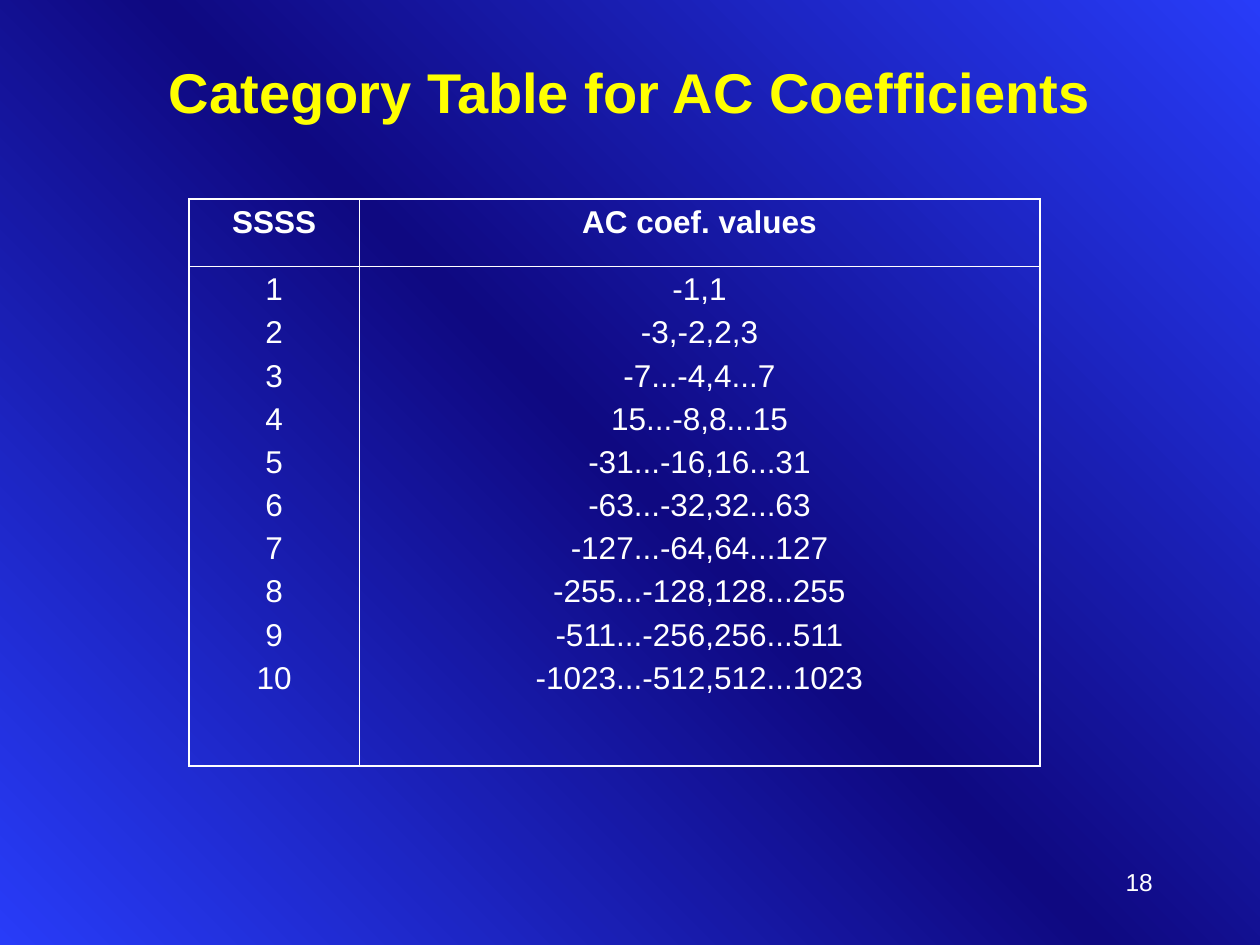
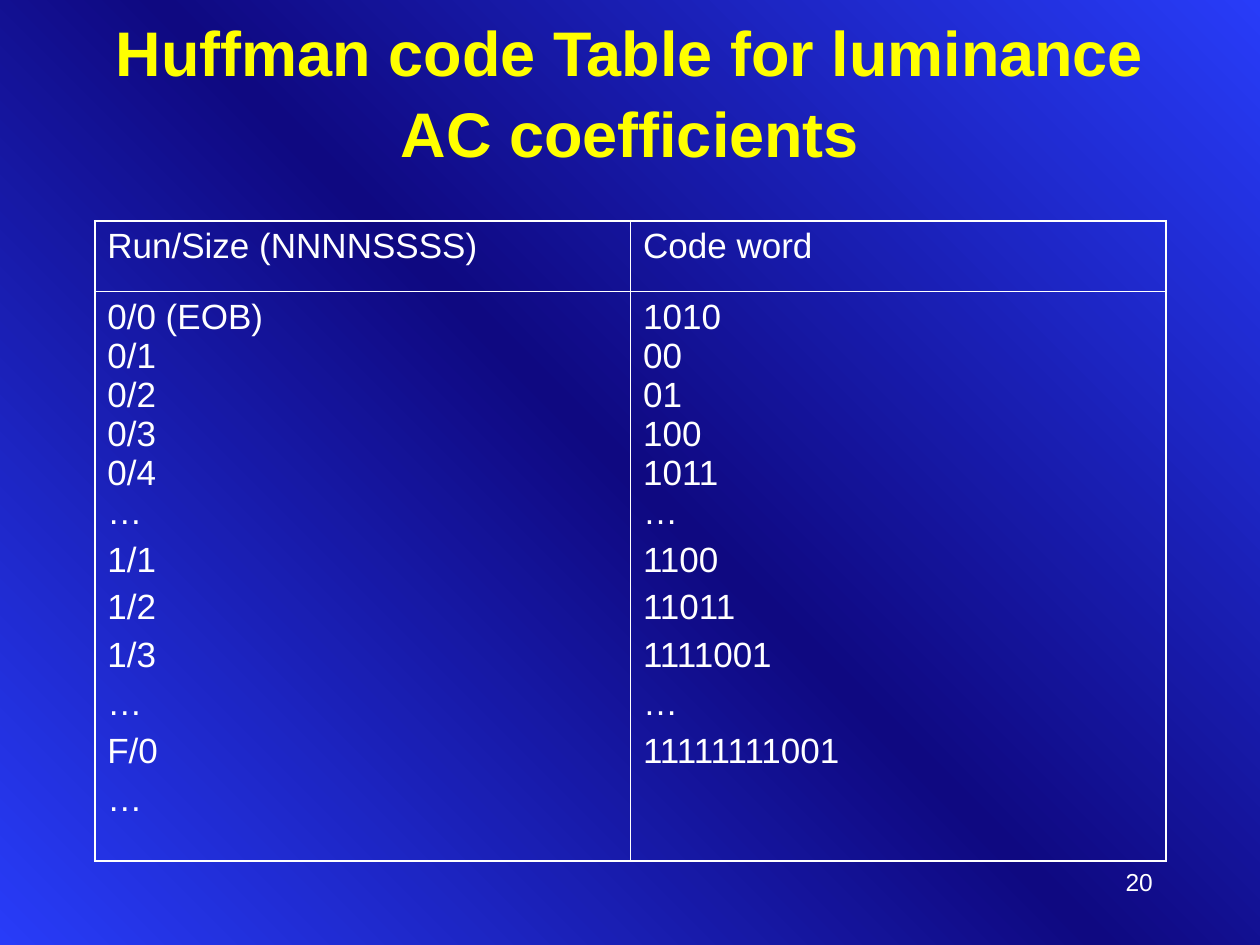
import copy
from dataclasses import dataclass

import pptx
import pptx.dml.color
import pptx.enum.text
import pptx.oxml
import pptx.oxml.ns
import pptx.util
from pptx.util import Cm

RGBColor = pptx.dml.color.RGBColor
Align = pptx.enum.text.PP_ALIGN
qn = pptx.oxml.ns.qn


@dataclass(frozen=True)
class Theme:
    font: str = "Arial"
    bright: str = "283CF8"
    dark: str = "0F0981"
    title: str = "FFFF00"
    text: str = "FFFFFF"
    number_size: int = 14
    title_line_spacing: float = 1.08
    outer_border: float = 1.08
    inner_border: float = 0.45


@dataclass(frozen=True)
class Box:
    left: float
    top: float
    width: float
    height: float


@dataclass(frozen=True)
class CodeTable:
    """A header row above one tall row; lengths are in centimetres."""
    left: float
    top: float
    columns: tuple[float, ...]
    rows: tuple[float, ...]
    cells: tuple[tuple[list[str], ...], ...]
    size: int
    space_before: float
    alignment: Align
    bold_header: bool


@dataclass(frozen=True)
class TableSlide:
    title: str
    title_size: int
    number: int
    table: CodeTable


THEME = Theme()
TITLE_BOX = Box(1.27, 0.2, 22.86, 3.18)
NUMBER_BOX = Box(18.21, 17.35, 5.28, 1.27)

CATEGORY_VALUES = [
    "-1,1", "-3,-2,2,3", "-7...-4,4...7", "15...-8,8...15",
    "-31...-16,16...31", "-63...-32,32...63", "-127...-64,64...127",
    "-255...-128,128...255", "-511...-256,256...511",
    "-1023...-512,512...1023",
]
# A vertical tab is a line break inside a paragraph.
RUN_SIZES = ["0/0 (EOB)\v0/1\v0/2\v0/3\v0/4\v…", "1/1", "1/2", "1/3", "…", "F/0", "…"]
CODE_WORDS = ["1010\v00\v01\v100\v1011\v…", "1100", "11011", "1111001", "…", "11111111001"]

SLIDES = (
    TableSlide(
        "Category Table for AC Coefficients", 32, 18,
        CodeTable(
            3.81, 4.01, (3.43, 13.72), (1.35, 10.08),
            ((["SSSS"], ["AC coef. values"]),
             ([str(category) for category in range(1, 11)], CATEGORY_VALUES)),
            18, 4.5, Align.CENTER, True,
        ),
    ),
    TableSlide(
        "Huffman code Table for luminance AC coefficients", 36, 20,
        CodeTable(
            1.91, 4.45, (10.8, 10.8), (1.42, 11.48),
            ((["Run/Size (NNNNSSSS)"], ["Code word"]), (RUN_SIZES, CODE_WORDS)),
            20, 5, Align.LEFT, False,
        ),
    ),
)


def format_paragraph(paragraph, size: int, color: str, alignment: Align, bold: bool = False) -> None:
    paragraph.alignment = alignment
    for run in paragraph.runs:
        run.font.name = THEME.font
        run.font.size = pptx.util.Pt(size)
        run.font.bold = bold
        run.font.color.rgb = RGBColor.from_string(color)


def set_background(slide) -> None:
    """Fill with a diagonal gradient: bright corners, dark middle."""
    fill = slide.background.fill
    fill.gradient()
    fill.gradient_angle = 45
    stop_list = slide.element.find(".//" + qn("a:gsLst"))
    stop_list.append(copy.deepcopy(stop_list[0]))
    colors = (THEME.bright, THEME.dark, THEME.bright)
    for index, (stop, color) in enumerate(zip(fill.gradient_stops, colors)):
        stop.position = index / 2
        stop.color.rgb = RGBColor.from_string(color)


def add_text(slide, box: Box, text: str, size: int, color: str, alignment: Align, bold: bool = False):
    shape = slide.shapes.add_textbox(Cm(box.left), Cm(box.top), Cm(box.width), Cm(box.height))
    shape.text_frame.word_wrap = True
    shape.text_frame.text = text
    format_paragraph(shape.text_frame.paragraphs[0], size, color, alignment, bold)
    return shape


def set_border(cell, side: str, width: float) -> None:
    properties = cell._tc.get_or_add_tcPr()
    line = pptx.oxml.parse_xml(
        f'<a:ln{side} {pptx.oxml.ns.nsdecls("a")} w="{int(pptx.util.Pt(width))}">'
        f'<a:solidFill><a:srgbClr val="{THEME.text}"/></a:solidFill></a:ln{side}>'
    )
    properties.append(line)


def fill_cell(cell, lines: list[str], spec_table: CodeTable, bold: bool) -> None:
    frame = cell.text_frame
    for index, line in enumerate(lines):
        paragraph = frame.add_paragraph() if index else frame.paragraphs[0]
        paragraph.text = line
        paragraph.space_before = pptx.util.Pt(spec_table.space_before)
        format_paragraph(paragraph, spec_table.size, THEME.text, spec_table.alignment, bold)


def add_code_table(slide, content: CodeTable) -> None:
    row_count, column_count = len(content.rows), len(content.columns)
    table = slide.shapes.add_table(
        row_count, column_count, Cm(content.left), Cm(content.top),
        Cm(sum(content.columns)), Cm(sum(content.rows)),
    ).table
    table.first_row = table.horz_banding = False
    for column, width in zip(table.columns, content.columns):
        column.width = Cm(width)
    for row, height in zip(table.rows, content.rows):
        row.height = Cm(height)
    for row_index, row_cells in enumerate(content.cells):
        for column_index, lines in enumerate(row_cells):
            cell = table.cell(row_index, column_index)
            fill_cell(cell, lines, content, content.bold_header and row_index == 0)
            outer_sides = {
                "L": column_index == 0,
                "R": column_index == column_count - 1,
                "T": row_index == 0,
                "B": row_index == row_count - 1,
            }
            for side, is_outer in outer_sides.items():
                set_border(cell, side, THEME.outer_border if is_outer else THEME.inner_border)
            cell.fill.background()


def add_table_slide(presentation, content: TableSlide) -> None:
    slide = presentation.slides.add_slide(presentation.slide_layouts[6])
    set_background(slide)
    add_text(slide, NUMBER_BOX, str(content.number), THEME.number_size, THEME.text, Align.RIGHT)
    title = add_text(slide, TITLE_BOX, content.title, content.title_size, THEME.title, Align.CENTER, True)
    title.text_frame.vertical_anchor = pptx.enum.text.MSO_ANCHOR.MIDDLE
    title.text_frame.paragraphs[0].line_spacing = THEME.title_line_spacing
    add_code_table(slide, content.table)


def main() -> None:
    presentation = pptx.Presentation()
    presentation.slide_width = Cm(25.4)
    presentation.slide_height = Cm(19.05)
    for content in SLIDES:
        add_table_slide(presentation, content)
    presentation.save("out.pptx")


if __name__ == "__main__":
    main()
